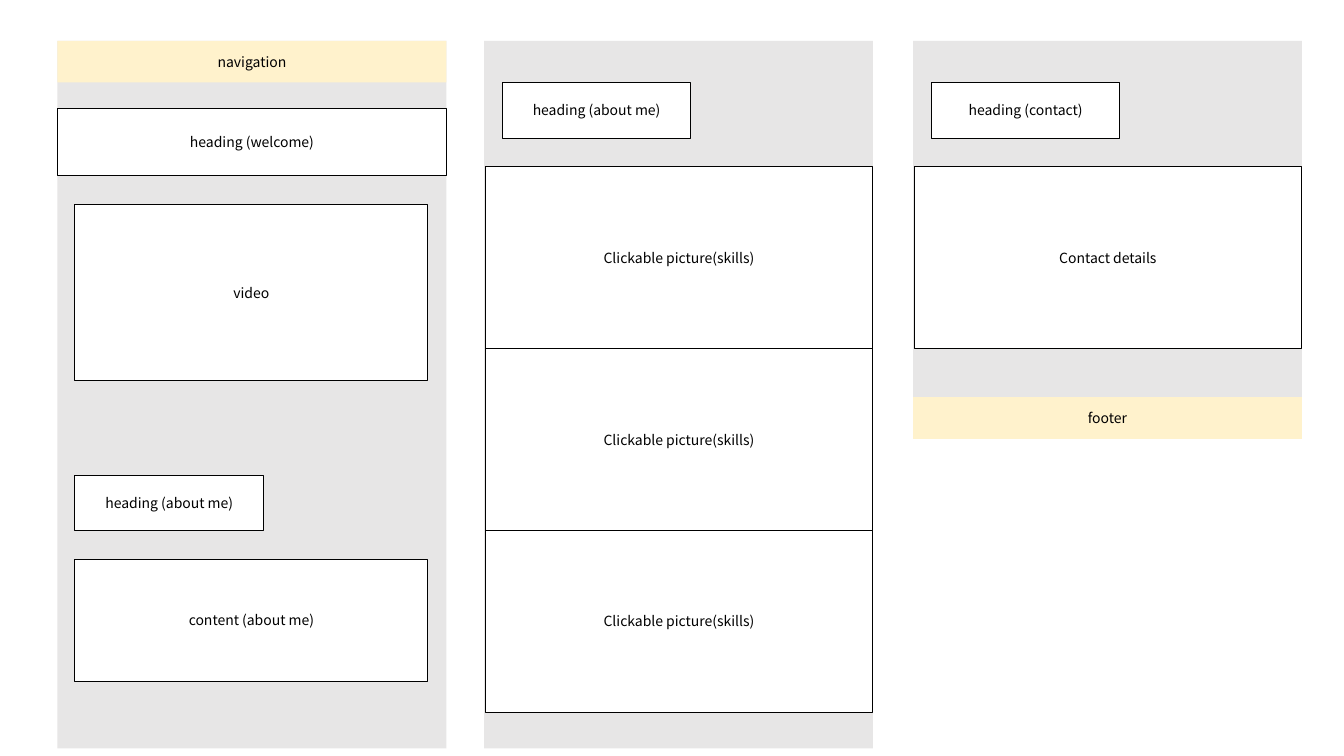
import pptx
import pptx.dml.color
import pptx.enum.shapes
import pptx.enum.text
import pptx.util
from pptx.util import Cm

GREY = pptx.dml.color.RGBColor(0xE7, 0xE6, 0xE6)
CREAM = pptx.dml.color.RGBColor(0xFF, 0xF2, 0xCC)
WHITE = pptx.dml.color.RGBColor(0xFF, 0xFF, 0xFF)
BLACK = pptx.dml.color.RGBColor(0x00, 0x00, 0x00)
FONT = "Noto Sans CJK KR"

# Lengths in centimetres
COLUMN_WIDTH = 9.8
BAR_HEIGHT = 1.05
SMALL_HEADING = (4.75, 1.4)
PANEL_WIDTH, PANEL_HEIGHT = 9.74, 4.59
PANEL_PITCH = 4.58
INSET = 0.44


def write_text(shape, text, size=10, color=BLACK, font=FONT):
    frame = shape.text_frame
    frame.word_wrap = True
    frame.vertical_anchor = pptx.enum.text.MSO_ANCHOR.MIDDLE
    paragraph = frame.paragraphs[0]
    paragraph.alignment = pptx.enum.text.PP_ALIGN.CENTER
    run = paragraph.add_run()
    run.text = text
    run.font.size = pptx.util.Pt(size)
    run.font.name = font
    run.font.color.rgb = color


def add_block(slide, left, top, width, height, text="", fill=WHITE, outlined=True):
    block = slide.shapes.add_shape(
        pptx.enum.shapes.MSO_SHAPE.RECTANGLE,
        Cm(left), Cm(top), Cm(width), Cm(height))
    block.shadow.inherit = False
    block.fill.solid()
    block.fill.fore_color.rgb = fill
    if outlined:
        block.line.color.rgb = BLACK
        block.line.width = pptx.util.Pt(0.75)
    else:
        block.line.fill.background()
    if text:
        write_text(block, text)


def add_bar(slide, left, top, width, text):
    add_block(slide, left, top, width, BAR_HEIGHT, text, CREAM, outlined=False)


def add_page(slide, left, top, width, height):
    add_block(slide, left, top, width, height, fill=GREY, outlined=False)


def add_welcome_column(slide, left, top, width, height):
    add_page(slide, left, top, width, height)
    inner_left, inner_width = left + INSET, width - 0.91
    add_bar(slide, left, top, width, "navigation")
    add_block(slide, inner_left, top + 4.12, inner_width, 4.45, "video")
    add_block(slide, left, top + 1.7, width, 1.69, "heading (welcome)")
    add_block(slide, inner_left, top + 10.95, *SMALL_HEADING, "heading (about me)")
    add_block(slide, inner_left, top + 13.06, inner_width, 3.08, "content (about me)")


def add_panel_column(slide, left, top, width, height, heading, panels):
    add_page(slide, left, top, width, height)
    add_block(slide, left + 0.46, top + BAR_HEIGHT, *SMALL_HEADING, heading)
    for row, panel in enumerate(panels):
        add_block(slide, left + 0.04, top + 3.17 + row * PANEL_PITCH,
                  PANEL_WIDTH, PANEL_HEIGHT, panel)


def add_contact_column(slide, left, top, width, height):
    add_panel_column(slide, left, top, width, height,
                     "heading (contact)", ["Contact details"])
    add_bar(slide, left, top + height - BAR_HEIGHT, width, "footer")


def main():
    deck = pptx.Presentation()
    deck.slide_width, deck.slide_height = Cm(33.87), Cm(19.05)
    slide = deck.slides.add_slide(deck.slide_layouts[6])

    # Three parts of the web page, side by side
    top, full_height = 1.03, 17.83
    add_welcome_column(slide, 1.45, top, COLUMN_WIDTH, full_height)
    add_panel_column(slide, 12.2, top, COLUMN_WIDTH, full_height,
                     "heading (about me)", ["Clickable picture(skills)"] * 3)
    add_contact_column(slide, 23.01, top, COLUMN_WIDTH, 10.03)

    deck.save("out.pptx")


if __name__ == "__main__":
    main()
